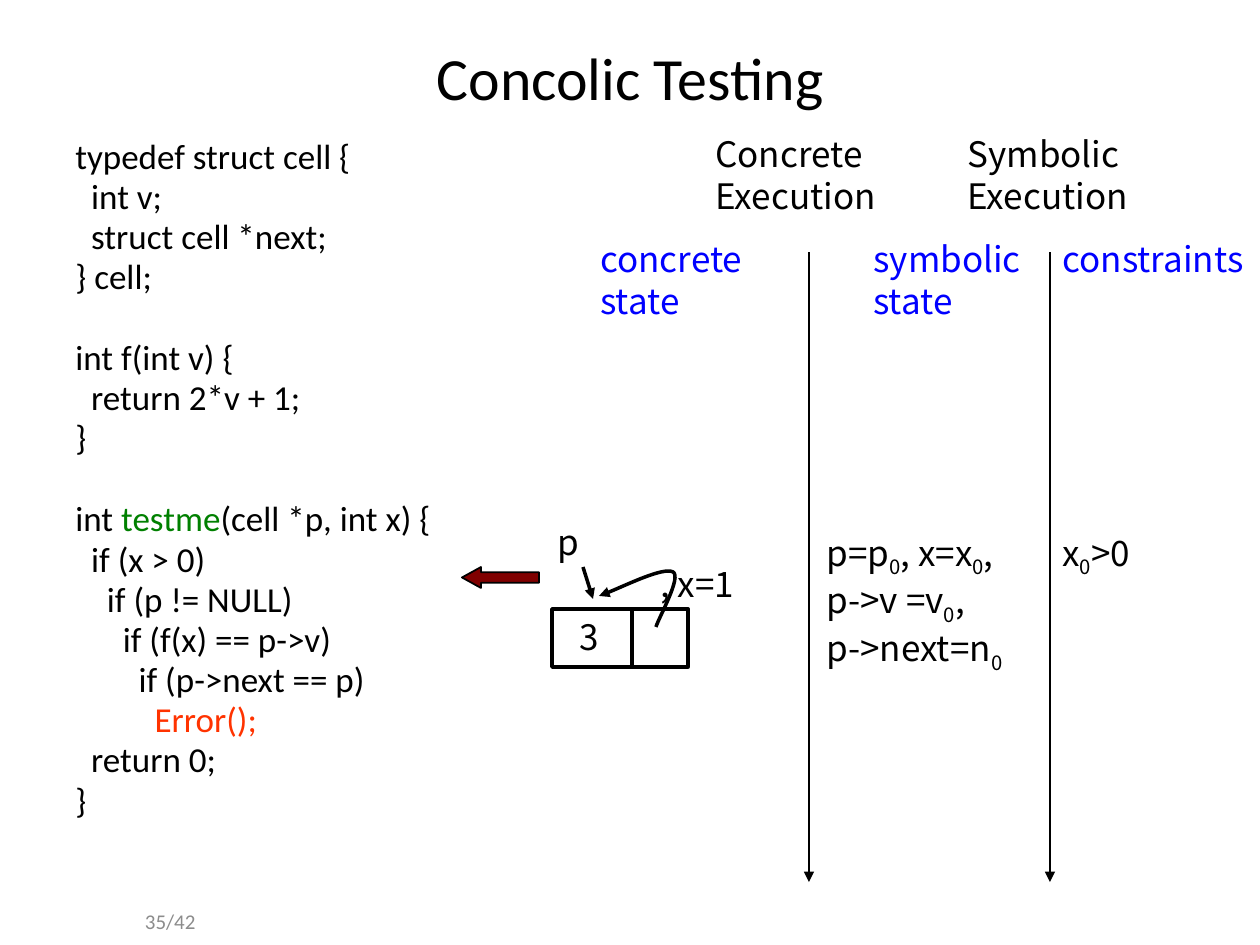
from lxml import etree
from pptx import Presentation
from pptx.dml.color import RGBColor
from pptx.enum.shapes import MSO_CONNECTOR, MSO_SHAPE
from pptx.enum.text import MSO_ANCHOR, PP_ALIGN
from pptx.oxml.ns import qn
from pptx.util import Emu, Pt

STRAIGHT = MSO_CONNECTOR.STRAIGHT
RECTANGLE, LEFT_ARROW = MSO_SHAPE.RECTANGLE, MSO_SHAPE.LEFT_ARROW
TOP, MIDDLE = MSO_ANCHOR.TOP, MSO_ANCHOR.MIDDLE
LEFT, CENTER, RIGHT = PP_ALIGN.LEFT, PP_ALIGN.CENTER, PP_ALIGN.RIGHT

SCALE = 914400 / 126
CODE_FONT, LABEL_FONT = "Calibri", "Noto Sans CJK KR"
BLACK, BLUE, GREEN, RED = "000000", "0000FF", "008000", "FF3300"
MAROON, GRAY = "800000", "8C8C8C"
SUB = ("0", "sub")


def px(length):
    return Emu(round(length * SCALE))


def rgb(code):
    return RGBColor.from_string(code)


class SlideBuilder:
    """Holds the style and the current slide; lengths are in px."""

    def __init__(self, page):
        self.page = page
        self.shapes = page.shapes

    def place(self, shape, left, top, width, height):
        shape.left, shape.top = px(left), px(top)
        shape.width, shape.height = px(width), px(height)

    def fill_text(self, frame, lines, font=LABEL_FONT, size=20, color=BLACK,
                  align=LEFT, anchor=TOP, indents=()):
        """Each line is a string or a list of strings and (text, style) spans."""
        frame.word_wrap = True
        frame.vertical_anchor = anchor
        for number, line in enumerate(lines):
            para = frame.add_paragraph() if number else frame.paragraphs[0]
            if indents:
                props = para._p.get_or_add_pPr()
                props.set("marL", str(px(indents[number])))
                props.set("indent", "0")
            para.alignment = align
            para.font.name, para.font.size = font, Pt(size)
            para.font.color.rgb = rgb(color)
            for part in [line] if isinstance(line, str) else line:
                text, style = (part, None) if isinstance(part, str) else part
                span = para.add_run()
                span.text = text
                if style == "sub":
                    span.font._element.set("baseline", "-25000")
                elif style:
                    span.font.color.rgb = rgb(style)

    def title(self, text, *place):
        box = self.shapes.title
        self.place(box, *place)
        self.fill_text(box.text_frame, [text], CODE_FONT, 34.2, align=CENTER,
                       anchor=MIDDLE)

    def text(self, lines, *place, **style):
        box = self.shapes.add_textbox(*map(px, place))
        self.fill_text(box.text_frame, lines, **style)
        return box

    def code(self, blocks, *place):
        """A listing whose blocks are one empty line apart."""
        lines = [line for block in blocks for line in block]
        box = self.text(lines, *place, font=CODE_FONT)
        starts = [block[0] for block in blocks]
        for number, (para, line) in enumerate(zip(box.text_frame.paragraphs, lines)):
            para.line_spacing = 0.8
            if number:
                para.space_before = Pt(27 if line in starts else 3.75)

    def shape(self, kind, *place, fill=None, weight=2):
        item = self.shapes.add_shape(kind, *map(px, place))
        self.outline(item, fill, weight)
        return item

    def outline(self, item, fill, weight):
        item.shadow.inherit = False
        if fill:
            item.fill.solid()
            item.fill.fore_color.rgb = rgb(fill)
        else:
            item.fill.background()
        item.line.color.rgb = rgb(BLACK)
        item.line.width = Pt(weight)

    def arrowhead(self, item):
        etree.SubElement(item.line._get_or_add_ln(), qn("a:tailEnd"), type="triangle")

    def line(self, x1, y1, x2, y2, weight=2, arrow=True):
        item = self.shapes.add_connector(STRAIGHT, *map(px, (x1, y1, x2, y2)))
        item.line.color.rgb = rgb(BLACK)
        item.line.width = Pt(weight)
        if arrow:
            self.arrowhead(item)
        etree.SubElement(item._element.spPr, qn("a:effectLst"))

    def curve_arrow(self, start, controls):
        """Draws the control polygon, then turns each three points into a Bezier."""
        builder = self.shapes.build_freeform(*start, scale=SCALE)
        builder.add_line_segments(controls, close=False)
        item = builder.convert_to_shape()
        self.outline(item, None, 2)
        self.arrowhead(item)
        outline = next(item._element.iter(qn("a:path")))
        steps = outline.findall(qn("a:lnTo"))
        for first in range(0, len(steps), 3):
            bezier = etree.SubElement(outline, qn("a:cubicBezTo"))
            for step in steps[first:first + 3]:
                bezier.append(step[0])
                outline.remove(step)


def main():
    deck = Presentation()
    deck.slide_width, deck.slide_height = px(1260), px(945)
    slide = SlideBuilder(deck.slides.add_slide(deck.slide_layouts[5]))

    # Title and page number
    slide.title("Concolic Testing", 63, 38, 1134, 77)
    slide.text(["35/42"], 84, 896, 124, 50, font=CODE_FONT, size=12,
               color=GRAY, align=RIGHT, anchor=MIDDLE)

    # Program under test
    slide.code([
        ["typedef struct cell {", "  int v;", "  struct cell *next;", "} cell;"],
        ["int f(int v) {", "  return 2*v + 1;", "}"],
        [["int ", ("testme", GREEN), "(cell *p, int x) {"],
         "  if (x > 0)",
         "    if (p != NULL)",
         "      if (f(x) == p->v)",
         "        if (p->next == p)",
         ["          ", ("Error();", RED)],
         "  return 0;",
         "}"],
    ], 63, 136, 557, 735)

    # Column dividers and headings
    for x in (809, 1050):
        slide.line(x, 252, x, 882, weight=1.5)
    for heading, left in (("Concrete Execution", 703), ("Symbolic Execution", 955)):
        slide.text([heading], left, 126, 210, 97)
    for heading, left, width in (("concrete state", 588, 189),
                                 ("symbolic state", 861, 189),
                                 ("constraints", 1050, 210)):
        slide.text([heading], left, 231, width, 97, color=BLUE)

    # Symbolic state and constraints
    slide.text([["x", SUB, ">0"]], 1050, 525, 210, 54)
    slide.text([["p=p", SUB, ", x=x", SUB, ","],
                ["p->v =v", SUB, ","],
                ["p->next=n", SUB]], 814, 525, 242, 139)

    # Current statement
    marker = slide.shape(LEFT_ARROW, 462, 567, 77, 21, fill=MAROON, weight=1)
    marker.adjustments[1] = 0.91

    # Concrete state: p points to a cell whose next is itself
    slide.text(["p", ", x=1"], 530, 514, 294, 97, indents=(15, 118))
    slide.line(583, 567, 593, 599)
    cell = slide.shape(RECTANGLE, 552, 609, 136, 58)
    slide.fill_text(cell.text_frame, ["3"], indents=(15,))
    slide.line(632, 669, 632, 609, arrow=False)
    slide.curve_arrow((656, 627), [(659, 617), (682, 577), (673, 572),
                                   (663, 567), (614, 591), (599, 596)])

    deck.save("out.pptx")


if __name__ == "__main__":
    main()
